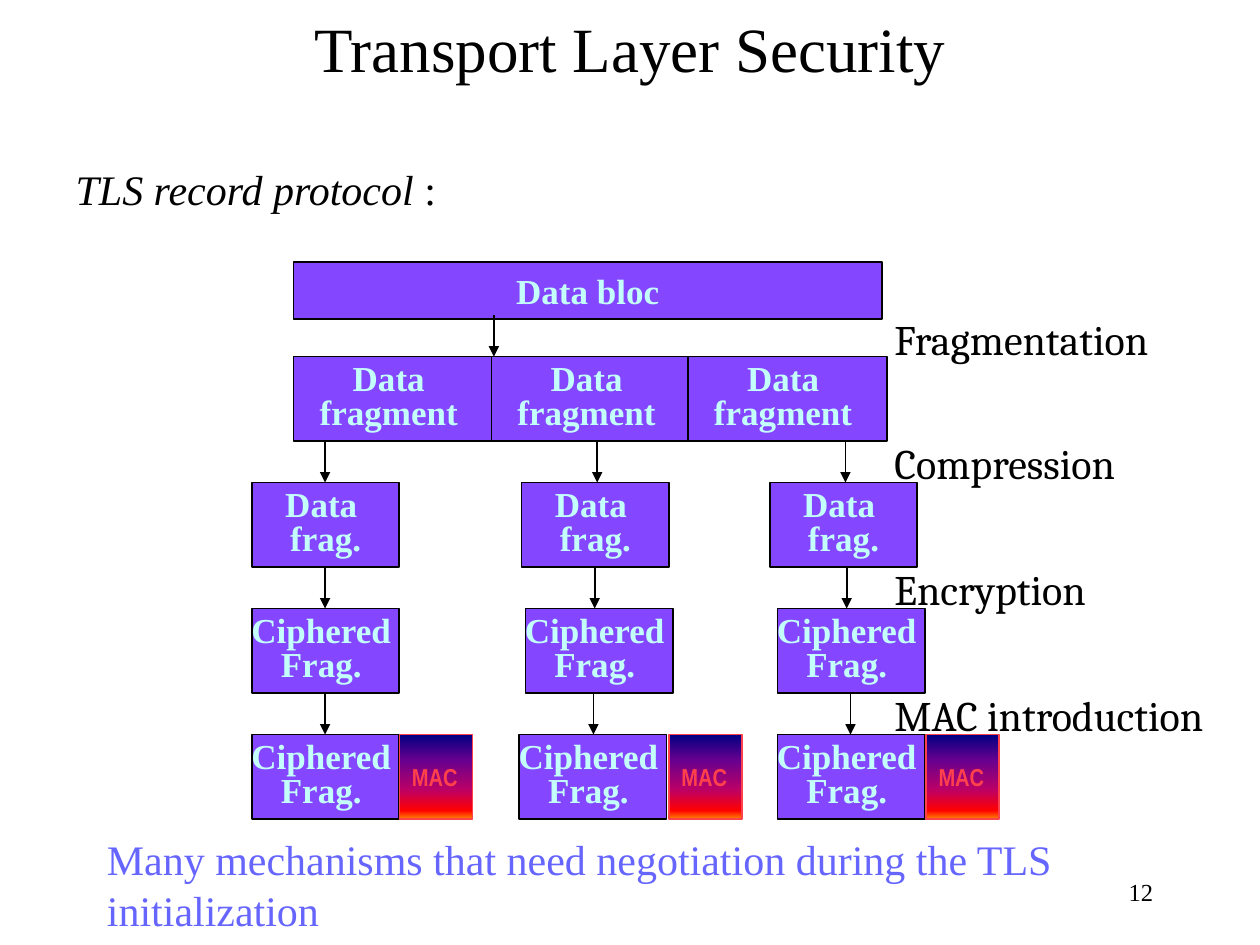
"""Build the TLS record protocol slide."""
from lxml import etree
from pptx import Presentation
from pptx.dml.color import RGBColor
from pptx.enum.shapes import MSO_CONNECTOR, MSO_SHAPE
from pptx.enum.text import MSO_ANCHOR, MSO_AUTO_SIZE, PP_ALIGN
from pptx.oxml.ns import qn
from pptx.util import Inches, Pt

RECT, STRAIGHT = MSO_SHAPE.RECTANGLE, MSO_CONNECTOR.STRAIGHT
TOP, MIDDLE = MSO_ANCHOR.TOP, MSO_ANCHOR.MIDDLE
LEFT, CENTER, RIGHT = PP_ALIGN.LEFT, PP_ALIGN.CENTER, PP_ALIGN.RIGHT
NO_FIT, GROW = MSO_AUTO_SIZE.NONE, MSO_AUTO_SIZE.SHAPE_TO_FIT_TEXT

SERIF, LABEL_FONT, MAC_FONT = "Times New Roman", "Cambria", "Arial Narrow"
COLORS = {"ink": "000000", "box": "8447FF", "box_text": "C4FEFA",
          "mac": "FF414C", "remark": "6666FF"}
MAC_STOPS = [(0, "000082"), (30, "66008F"), (65, "BA0066"),
             (90, "FF0000"), (100, "FF8200")]

TITLE = "Transport Layer Security"
SUBJECT = [("TLS record protocol ", True), (":", False)]
REMARK = "Many mechanisms that need negotiation during the TLS initialization"
PAGE = "12"
BLOCK = ["Data bloc"]
# Step rows: lines of text, box width, box lefts, centres of incoming arrows
STAGES = [
    (["Data ", "fragment "], 1.58, [2.33, 3.9, 5.46], [3.92]),
    (["Data ", "frag."], 1.17, [2, 4.14, 6.11], [2.58, 4.74, 6.71]),
    (["Ciphered ", "Frag. "], 1.17, [2, 4.17, 6.17], [2.58, 4.72, 6.72]),
    (["Ciphered ", "Frag. "], 1.17, [2, 4.12, 6.17], [2.58, 4.71, 6.75]),
]
STEPS = [("Fragmentation", 2.44, 2.38), ("Compression", 3.42, 2.16),
         ("Encryption", 4.42, 1.85), ("MAC introduction", 5.42, 2.95)]
MAC_LEFTS = [3.17, 5.31, 7.35]
FIRST_TOP, PITCH, BOX_H, ARROW_H, MAC_W = 2.83, 1, 0.67, 0.33, 0.58


def rgb(name):
    return RGBColor.from_string(COLORS[name])


def add_run(paragraph, text, size, color="ink", font=SERIF, bold=False, italic=False):
    run = paragraph.add_run()
    run.text = text
    run.font.size, run.font.name = Pt(size), font
    run.font.bold, run.font.italic = bold, italic
    run.font.color.rgb = rgb(color)


def set_frame(shape, wrap=True, anchor=TOP, fit=NO_FIT):
    frame = shape.text_frame
    frame.word_wrap, frame.vertical_anchor, frame.auto_size = wrap, anchor, fit
    return frame


def place(shape, left, top, width, height):
    shape.left, shape.top = Inches(left), Inches(top)
    shape.width, shape.height = Inches(width), Inches(height)


def add_label(slide, area, text, size, color="ink", font=SERIF, align=LEFT,
              before=0, **frame_options):
    label = slide.shapes.add_textbox(*map(Inches, area))
    paragraph = set_frame(label, **frame_options).paragraphs[0]
    paragraph.alignment, paragraph.space_before = align, Pt(before)
    add_run(paragraph, text, size, color, font)


def add_rect(slide, area, line):
    rect = slide.shapes.add_shape(RECT, *map(Inches, area))
    rect.shadow.inherit = False
    rect.line.color.rgb, rect.line.width = rgb(line), Pt(1)
    return rect


def add_box(slide, area, lines):
    box = add_rect(slide, area, "ink")
    box.fill.solid()
    box.fill.fore_color.rgb = rgb("box")
    frame = set_frame(box, wrap=False, anchor=MIDDLE)
    for index, line in enumerate(lines):
        paragraph = frame.add_paragraph() if index else frame.paragraphs[0]
        paragraph.alignment = CENTER
        paragraph.line_spacing = 0.8 if len(lines) > 1 else 1.0
        add_run(paragraph, line, 20, "box_text", bold=True)


def add_mac(slide, area):
    mac = add_rect(slide, area, "mac")
    mac.fill.gradient()
    mac.fill.gradient_angle = 270
    stops = mac.element.spPr.find(".//" + qn("a:gsLst"))
    for stop in list(stops):
        stops.remove(stop)
    for percent, color in MAC_STOPS:
        stop = etree.SubElement(stops, qn("a:gs"), pos=str(percent * 1000))
        etree.SubElement(stop, qn("a:srgbClr"), val=color)
    frame = set_frame(mac, anchor=MIDDLE)
    frame.margin_right = 0
    frame.paragraphs[0].alignment = LEFT
    add_run(frame.paragraphs[0], "MAC", 14, "mac", MAC_FONT, bold=True)


def add_arrow(slide, x, bottom):
    arrow = slide.shapes.add_connector(
        STRAIGHT, Inches(x), Inches(bottom), Inches(x), Inches(bottom - ARROW_H))
    arrow.line.color.rgb, arrow.line.width = rgb("ink"), Pt(1)
    etree.SubElement(arrow.line._get_or_add_ln(), qn("a:headEnd"), type="triangle")
    etree.SubElement(arrow.element.spPr, qn("a:effectLst"))


def fill_placeholders(slide):
    title, body = slide.shapes.title, slide.placeholders[1]
    place(title, 0.5, -0.01, 9, 0.77)
    heading = set_frame(title, anchor=MIDDLE).paragraphs[0]
    heading.alignment = CENTER
    add_run(heading, TITLE, 36)

    place(body, 0.5, 1.25, 9.25, 4.5)
    subject = set_frame(body).paragraphs[0]
    subject.space_before = Pt(4.8)
    properties = subject._p.get_or_add_pPr()
    properties.set("marL", "0")
    properties.set("indent", "0")
    etree.SubElement(properties, qn("a:buNone"))
    for text, italic in SUBJECT:
        add_run(subject, text, 24, italic=italic)


def main():
    prs = Presentation()
    prs.slide_width, prs.slide_height = Inches(10), Inches(7.5)
    slide = prs.slides.add_slide(prs.slide_layouts[1])
    fill_placeholders(slide)

    add_box(slide, (2.33, 2.08, 4.67, 0.45), BLOCK)
    for row, (lines, width, lefts, arrows) in enumerate(STAGES):
        top = FIRST_TOP + row * PITCH
        for left in lefts:
            add_box(slide, (left, top, width, BOX_H), lines)
        for x in arrows:
            add_arrow(slide, x, top)
    for left in MAC_LEFTS:
        add_mac(slide, (left, top, MAC_W, BOX_H))
    for text, label_top, width in STEPS:
        add_label(slide, (7, label_top, width, 0.5), text, 24, font=LABEL_FONT,
                  wrap=False, fit=GROW)

    add_label(slide, (0.75, 6.57, 8.82, 0.56), REMARK, 24, "remark", before=4.8)
    add_label(slide, (7.17, 6.83, 2.08, 0.5), PAGE, 14, align=RIGHT,
              wrap=False, anchor=MIDDLE)
    prs.save("out.pptx")


if __name__ == "__main__":
    main()
